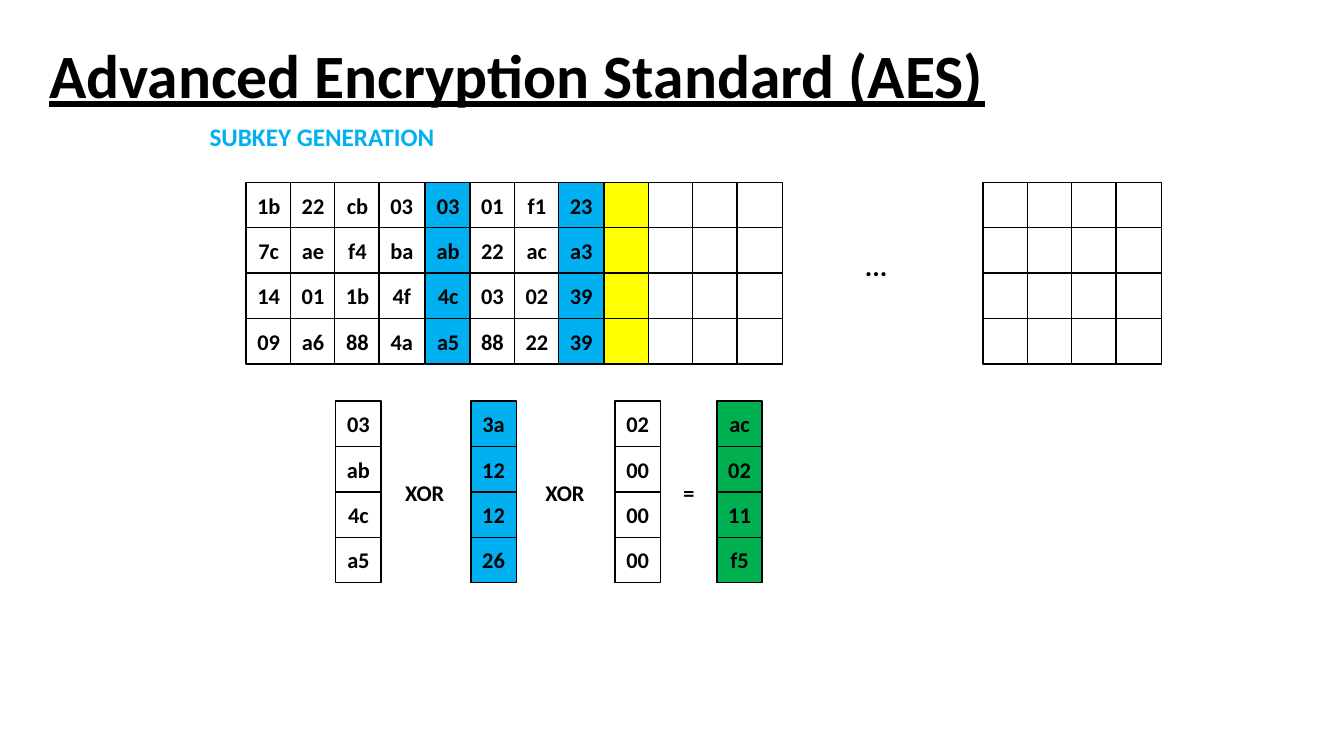
from pptx import Presentation
from pptx.dml.color import RGBColor
from pptx.enum.shapes import MSO_SHAPE
from pptx.enum.text import MSO_ANCHOR, MSO_AUTO_SIZE, PP_ALIGN
from pptx.util import Inches, Pt

RECTANGLE = MSO_SHAPE.RECTANGLE
TOP, MIDDLE = MSO_ANCHOR.TOP, MSO_ANCHOR.MIDDLE
LEFT, CENTER = PP_ALIGN.LEFT, PP_ALIGN.CENTER
FIT_SHAPE = MSO_AUTO_SIZE.SHAPE_TO_FIT_TEXT

BLACK = RGBColor(0x00, 0x00, 0x00)
WHITE = RGBColor(0xFF, 0xFF, 0xFF)
BLUE = RGBColor(0x00, 0xB0, 0xF0)
YELLOW = RGBColor(0xFF, 0xFF, 0x00)
GREEN = RGBColor(0x00, 0xB0, 0x50)

CELL = 0.45
COLUMN_STEP = 0.44
KEY_TOP = 1.81
XOR_TOP = 3.98
LABEL_TOP = 4.7
EMPTY = [""] * 4

deck = Presentation()
deck.slide_width, deck.slide_height = Inches(13.33), Inches(7.5)
page = deck.slides.add_slide(deck.slide_layouts[6])


def write(box, text, size=16, color=BLACK, align=LEFT, anchor=TOP, underline=False, spacing=1.0):
    box.text_frame.vertical_anchor = anchor
    para = box.text_frame.paragraphs[0]
    para.alignment = align
    para.line_spacing = spacing
    span = para.add_run()
    span.text = text
    span.font.name = "Calibri"
    span.font.size = Pt(size)
    span.font.bold = True
    span.font.underline = underline
    span.font.color.rgb = color


def add_column(left, top, values, fill):
    for row, value in enumerate(values):
        box = page.shapes.add_shape(
            RECTANGLE, Inches(left), Inches(top + row * CELL), Inches(CELL), Inches(CELL)
        )
        box.shadow.inherit = False
        box.fill.solid()
        box.fill.fore_color.rgb = fill
        box.line.color.rgb = BLACK
        box.line.width = Pt(1)
        if value:
            write(box, value, align=CENTER, anchor=MIDDLE)


title = page.shapes.add_textbox(Inches(0.39), Inches(0.05), Inches(11.5), Inches(1.45))
title.text_frame.word_wrap = True
write(title, "Advanced Encryption Standard (AES)", size=44, anchor=MIDDLE, underline=True, spacing=0.9)

key_blocks = [
    (2.44, [
        (["1b", "7c", "14", "09"], WHITE),
        (["22", "ae", "01", "a6"], WHITE),
        (["cb", "f4", "1b", "88"], WHITE),
        (["03", "ba", "4f", "4a"], WHITE),
    ]),
    (4.22, [
        (["03", "ab", "4c", "a5"], BLUE),
        (["01", "22", "03", "88"], WHITE),
        (["f1", "ac", "02", "22"], WHITE),
        (["23", "a3", "39", "39"], BLUE),
    ]),
    (5.99, [(EMPTY, YELLOW)] + [(EMPTY, WHITE)] * 3),
    (9.75, [(EMPTY, WHITE)] * 4),
]
for block_left, columns in key_blocks:
    for index, (values, fill) in enumerate(columns):
        add_column(block_left + index * COLUMN_STEP, KEY_TOP, values, fill)

xor_columns = [
    (3.33, ["03", "ab", "4c", "a5"], WHITE),
    (4.67, ["3a", "12", "12", "26"], BLUE),
    (6.1, ["02", "00", "00", "00"], WHITE),
    (7.11, ["ac", "02", "11", "f5"], GREEN),
]
for left, values, fill in xor_columns:
    add_column(left, XOR_TOP, values, fill)

labels = [
    ("SUBKEY GENERATION", 1.98, 1.15, 2.45, 0.4, 18, BLUE),
    ("...", 8.48, 2.42, 0.43, 0.44, 20, BLACK),
    ("XOR", 3.92, LABEL_TOP, 0.6, 0.37, 16, BLACK),
    ("XOR", 5.31, LABEL_TOP, 0.6, 0.37, 16, BLACK),
    ("=", 6.68, LABEL_TOP, 0.31, 0.37, 16, BLACK),
]
for text, left, top, width, height, size, color in labels:
    label = page.shapes.add_textbox(Inches(left), Inches(top), Inches(width), Inches(height))
    label.text_frame.word_wrap = False
    label.text_frame.auto_size = FIT_SHAPE
    write(label, text, size=size, color=color)

deck.save("out.pptx")
